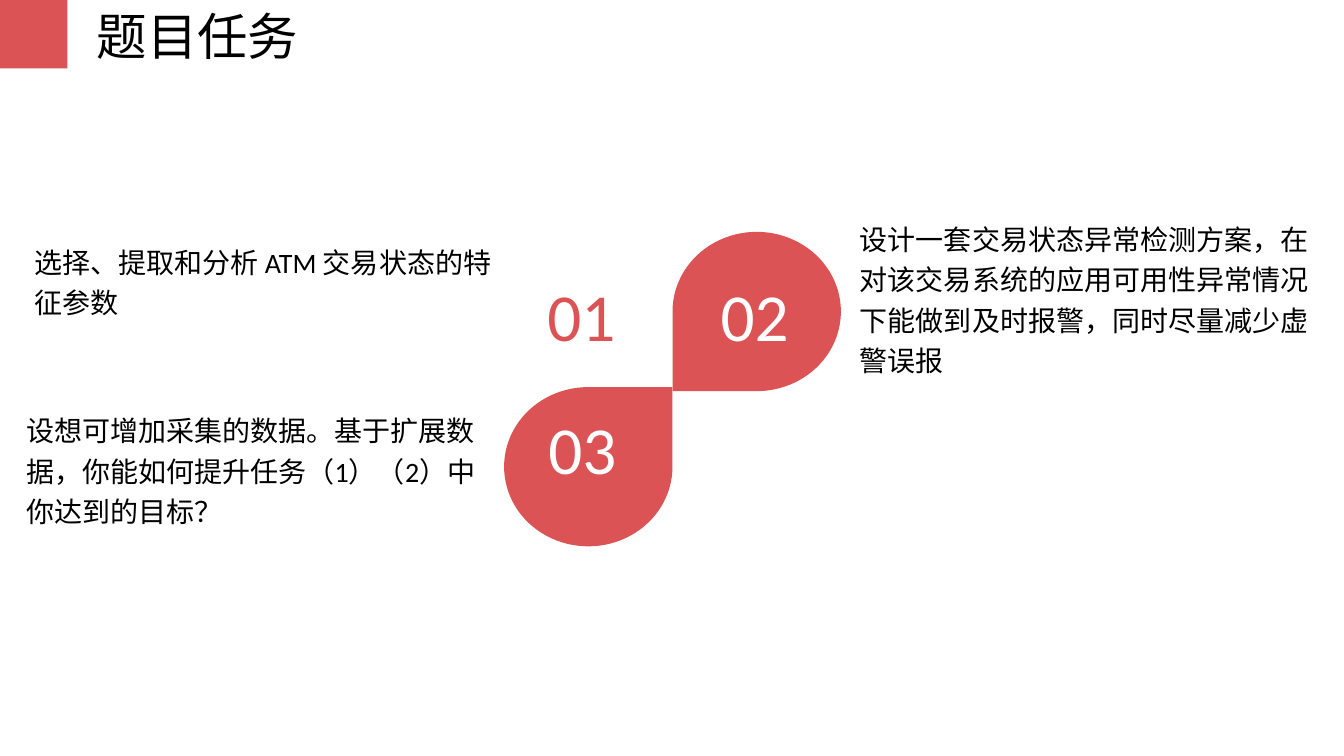
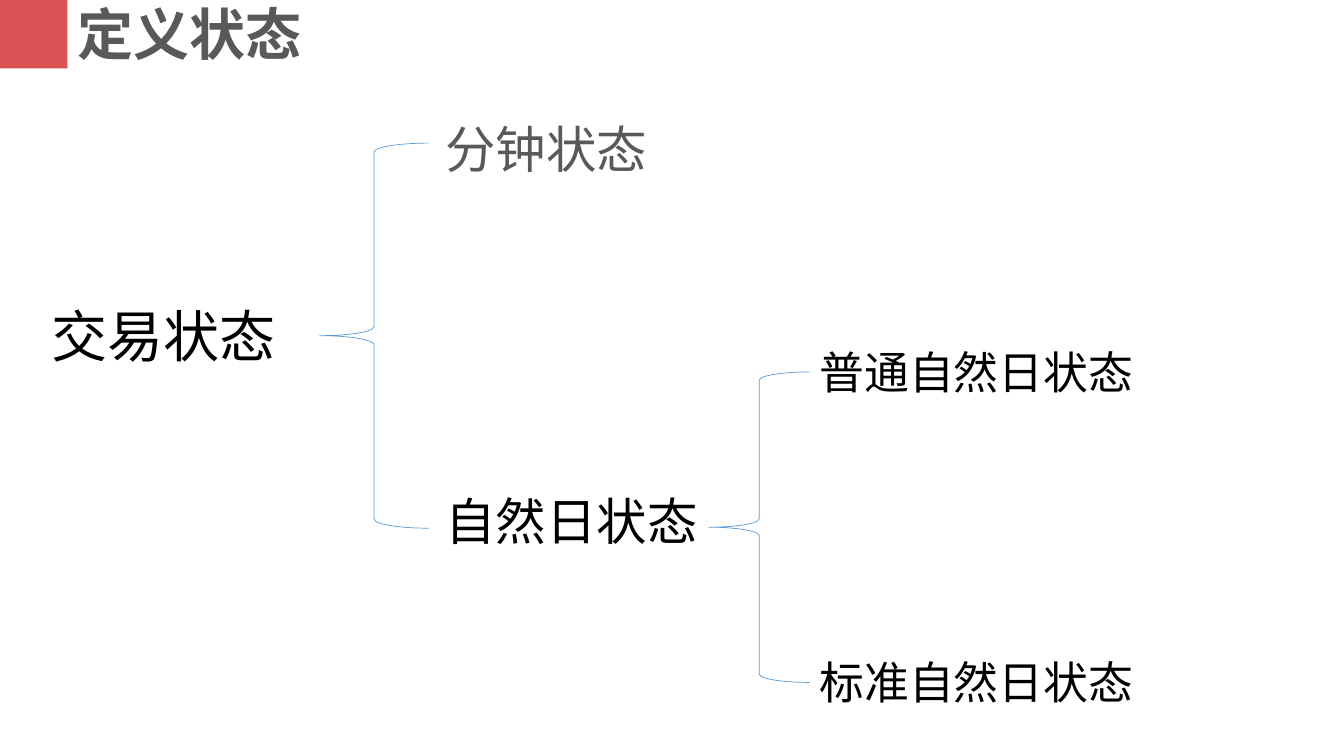
from lxml.etree import SubElement
from pptx import Presentation
from pptx.dml.color import RGBColor
from pptx.enum.shapes import MSO_SHAPE
from pptx.oxml.ns import qn
from pptx.util import Inches, Pt

COLORS = {"accent": "DB5355", "text": "000000", "muted": "595959",
          "white": "FFFFFF", "brace": "5B9BD5"}
LATIN = "Calibri"
CJK = "Noto Sans CJK SC"
MARKER = (0, 0, 0.67, 0.68)


def add_text(slide, box, wording, size, color="text", font=LATIN, bold=False, spacing=None):
    """Place one wrapped paragraph in a box given in inches."""
    frame = slide.shapes.add_textbox(*map(Inches, box)).text_frame
    frame.word_wrap = True
    paragraph = frame.paragraphs[0]
    paragraph.text = wording
    if spacing:
        paragraph.line_spacing = spacing
    style = paragraph.font
    style.size, style.name, style.bold = Pt(size), font, bold
    style.color.rgb = RGBColor.from_string(COLORS[color])
    latin = paragraph.font._element.find(qn("a:latin"))
    east_asian = SubElement(latin.getparent(), qn("a:ea"))
    east_asian.set("typeface", CJK)


def add_solid(slide, kind, box, rotation=0):
    """Place an accent-coloured shape without outline or shadow."""
    solid = slide.shapes.add_shape(kind, *map(Inches, box))
    solid.rotation = rotation
    solid.shadow.inherit = False
    solid.fill.solid()
    solid.fill.fore_color.rgb = RGBColor.from_string(COLORS["accent"])
    solid.line.fill.background()


def add_brace(slide, box):
    """Place a thin left brace that groups the branches beside it."""
    brace = slide.shapes.add_shape(MSO_SHAPE.LEFT_BRACE, *map(Inches, box))
    brace.shadow.inherit = False
    brace.fill.background()
    brace.line.color.rgb = RGBColor.from_string(COLORS["brace"])
    brace.line.width = Pt(0.5)


def add_header(slide, title, box, size, **style):
    """Place the corner marker and the slide title."""
    add_solid(slide, MSO_SHAPE.RECTANGLE, MARKER)
    add_text(slide, box, title, size, font=CJK, **style)


def add_petals(slide, box):
    """Place two petals that meet at the centre of the box, with three numbers."""
    left, top, width, height = box
    petal_width, petal_height = width / 2, 1.58
    add_solid(slide, MSO_SHAPE.TEAR, (left + petal_width, top, petal_width, petal_height), 180)
    add_solid(slide, MSO_SHAPE.TEAR,
              (left, top + height - petal_height, petal_width, petal_height))
    numbers = [("01", 0.33, 0.37, "accent"), ("02", 2.05, 0.37, "white"),
               ("03", 0.34, 1.69, "white")]
    for number, across, down, color in numbers:
        add_text(slide, (left + across, top + down, 1.33, 0.91), number, 48, color)


def add_fork(slide, box, gap, branches):
    """Place a brace over the box and one label at each of its arms."""
    left, top, width, height = box
    add_brace(slide, box)
    for wording, size, rise, label_width, label_height, style in branches:
        label_box = (left + width + gap, top + rise, label_width, label_height)
        add_text(slide, label_box, wording, size, **style)


def build_tasks(slide):
    """Build the slide that lists the three tasks."""
    add_header(slide, "题目任务", (0.86, 0, 4.88, 0.71), 36)
    add_petals(slide, (5, 2.3, 3.34, 3.12))
    tasks = [
        (0.24, 2.32, 0.87, "选择、提取和分析 ATM 交易状态的特征参数"),
        (8.43, 2.09, 1.68, "设计一套交易状态异常检测方案，在对该交易系统的应用可用性"
                           "异常情况下能做到及时报警，同时尽量减少虚警误报"),
        (0.16, 3.99, 1.27, "设想可增加采集的数据。基于扩展数据，"
                           "你能如何提升任务（1）（2）中你达到的目标？"),
    ]
    for left, top, height, task in tasks:
        add_text(slide, (left, top, 4.77, height), task, 20, spacing=1.2)


def build_states(slide):
    """Build the slide that shows the tree of states."""
    add_header(slide, "定义状态", (0.67, -0.05, 4.9, 0.77), 40, color="muted", bold=True)
    add_text(slide, (0.41, 2.94, 2.59, 0.77), "交易状态", 40)
    minute_style = {"color": "muted", "font": "Arial", "spacing": 1.2}
    add_fork(slide, (3.17, 1.42, 1.08, 3.82), 0.07, [
        ("分钟状态", 36, -0.42, 3.03, 0.83, minute_style),
        ("自然日状态", 36, 3.39, 2.84, 0.71, {}),
    ])
    add_fork(slide, (7.03, 3.69, 1, 3.08), 0, [
        ("普通自然日状态", 32, -0.32, 3.57, 0.64, {}),
        ("标准自然日状态", 32, 2.76, 3.57, 0.64, {}),
    ])


def main():
    """Build and save the presentation."""
    deck = Presentation()
    deck.slide_width, deck.slide_height = Inches(13.33), Inches(7.5)
    for build in (build_tasks, build_states):
        build(deck.slides.add_slide(deck.slide_layouts[6]))
    deck.save("out.pptx")


if __name__ == "__main__":
    main()
